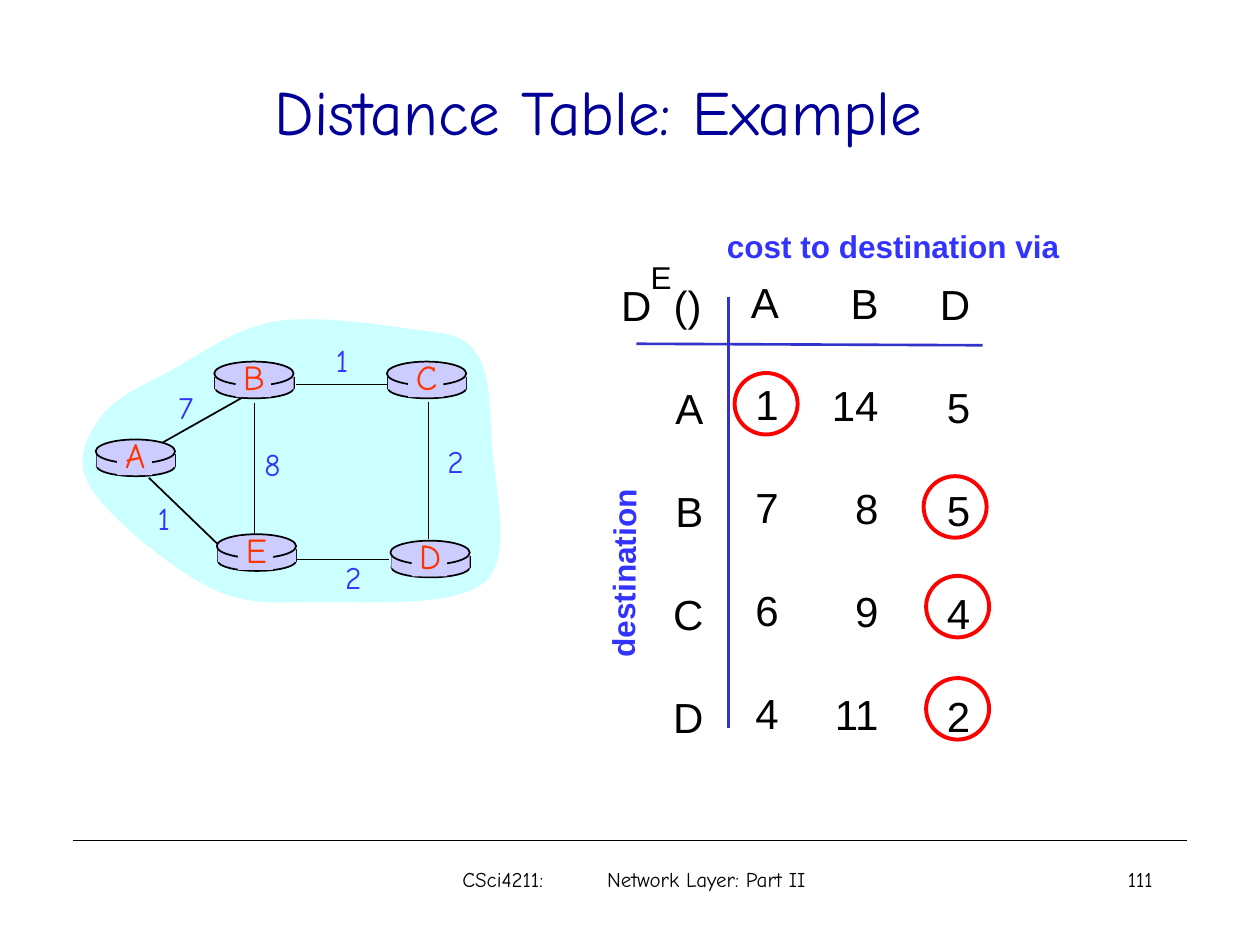
from lxml.etree import SubElement
from pptx import Presentation
from pptx.dml.color import RGBColor
from pptx.enum.shapes import MSO_CONNECTOR, MSO_SHAPE
from pptx.enum.text import MSO_ANCHOR, PP_ALIGN
from pptx.oxml.ns import qn
from pptx.util import Cm, Pt

# All positions and sizes are centimetres.
COMIC = {"name": "Comic Neue"}
TITLE = {**COMIC, "size": Pt(36), "color": "000099"}
FOOTER = {**COMIC, "size": Pt(12), "color": "000000"}
ROUTER_NAME = {**COMIC, "size": Pt(20), "color": "FF3300"}
LINK_COST = {**COMIC, "size": Pt(18), "color": "3333FF"}
CELL = {"name": "Arial", "size": Pt(24), "color": "000000"}
SUPERSCRIPT = {**CELL, "size": Pt(18)}
HEADING = {"name": "Arial", "size": Pt(18), "bold": True, "color": "3333FF"}

CLOUD_START = (2.03, 8.41)
CLOUD_CURVES = [
    ((2.29, 8.03), (2.87, 7.77), (3.45, 7.47)),
    ((4.04, 7.14), (4.72, 6.63), (5.54, 6.48)),
    ((6.35, 6.35), (7.59, 6.53), (8.26, 6.63)),
    ((8.94, 6.73), (9.32, 6.71), (9.58, 7.09)),
    ((9.86, 7.44), (9.88, 8.1), (9.91, 8.86)),
    ((9.93, 9.63), (10.36, 11.18), (9.8, 11.71)),
    ((9.22, 12.27), (7.39, 12.12), (6.45, 12.14)),
    ((5.54, 12.14), (4.98, 12.22), (4.22, 11.84)),
    ((3.45, 11.46), (2.21, 10.44), (1.85, 9.86)),
    ((1.47, 9.3), (1.75, 8.81), CLOUD_START),
]
LINKS = [
    ((3.28, 8.92), (5.0, 7.95)),
    ((8.64, 8.1), (8.64, 10.87)),
    ((5.13, 8.13), (5.13, 10.87)),
    ((5.99, 11.28), (7.85, 11.28)),
    ((3.0, 9.63), (4.39, 10.97)),
    ((5.97, 7.75), (7.82, 7.75)),
]
ROUTERS = {"A": (1.93, 8.86), "B": (4.32, 7.29), "C": (7.8, 7.29),
           "E": (4.37, 10.77), "D": (7.87, 10.9)}
LINK_COSTS = [("7", 3.3, 7.7), ("8", 5.05, 8.84), ("1", 2.86, 9.93),
              ("2", 6.68, 11.13), ("1", 6.45, 6.76), ("2", 8.74, 8.79)]
# left, top, width, entries
COLUMNS = [
    (12.52, 5.51, 1.91, ["D\t()", "A", "B", "C", "D"]),
    (15.13, 5.44, 0.82, ["A", "1", "7", "6", "4"]),
    (16.51, 5.46, 1.45, ["B", "14", "8", "9", "11"]),
    (18.69, 5.49, 1.12, ["D", "5", "5", "4", "2"]),
]
BEST_COSTS = [(14.81, 7.52), (18.62, 9.6), (18.67, 11.61), (18.67, 13.67)]


def rgb(value):
    return RGBColor.from_string(value)


def style(font, look):
    for key, value in look.items():
        if key == "color":
            font.color.rgb = rgb(value)
        else:
            setattr(font, key, value)


def add_text(slide, box, lines, look, align=PP_ALIGN.CENTER, wrap=False, tab=None, gap=0):
    """Add a text box; a tab stop, if given, makes the first line left aligned."""
    text_box = slide.shapes.add_textbox(*map(Cm, box))
    frame = text_box.text_frame
    frame.word_wrap = wrap
    for index, line in enumerate(lines):
        paragraph = frame.paragraphs[0] if index == 0 else frame.add_paragraph()
        paragraph.text = line
        paragraph.alignment = align
        if index:
            paragraph.space_before = Pt(gap)
        elif tab:
            paragraph.alignment = PP_ALIGN.LEFT
            tabs = SubElement(paragraph._p.get_or_add_pPr(), qn("a:tabLst"))
            SubElement(tabs, qn("a:tab"), pos=str(Cm(tab)), algn="l")
        style(paragraph.runs[0].font, look)
    return text_box


def paint(shape, fill=None, line=None, width=1):
    shape.shadow.inherit = False
    if fill:
        shape.fill.solid()
        shape.fill.fore_color.rgb = rgb(fill)
    else:
        shape.fill.background()
    if line:
        shape.line.color.rgb = rgb(line)
        shape.line.width = Pt(width)
    else:
        shape.line.fill.background()


def add_shape(slide, kind, box, **colours):
    paint(slide.shapes.add_shape(kind, *map(Cm, box)), **colours)


def add_line(slide, start, end, color="000000", width=1):
    line = slide.shapes.add_connector(MSO_CONNECTOR.STRAIGHT, *map(Cm, start + end))
    line.line.color.rgb = rgb(color)
    line.line.width = Pt(width)
    SubElement(line._element.spPr, qn("a:effectLst"))


def curve_points(start, curves, steps=12):
    """Yield points along a chain of cubic Bézier curves."""
    for first, second, end in curves:
        for step in range(1, steps + 1):
            t = step / steps
            weights = ((1 - t) ** 3, 3 * t * (1 - t) ** 2, 3 * t * t * (1 - t), t ** 3)
            corners = (start, first, second, end)
            yield tuple(Cm(sum(w * c[axis] for w, c in zip(weights, corners)))
                        for axis in (0, 1))
        start = end


def add_cloud(slide):
    builder = slide.shapes.build_freeform(*map(Cm, CLOUD_START))
    builder.add_line_segments(list(curve_points(CLOUD_START, CLOUD_CURVES)), close=True)
    paint(builder.convert_to_shape(), fill="CCFFFF")


def add_router(slide, name, x, y):
    body, edge = "CCCCFF", "000000"
    add_shape(slide, MSO_SHAPE.OVAL, (x + 0.02, y + 0.33, 1.58, 0.41), fill=body, line=edge)
    for side in (x + 0.02, x + 1.6):
        add_line(slide, (side, y + 0.3), (side, y + 0.56))
    add_shape(slide, MSO_SHAPE.RECTANGLE, (x + 0.02, y + 0.3, 1.58, 0.26), fill=body)
    add_shape(slide, MSO_SHAPE.OVAL, (x, y, 1.6, 0.48), fill=body, line=edge)
    add_shape(slide, MSO_SHAPE.RECTANGLE, (x + 0.43, y + 0.05, 0.71, 0.67), fill=body)
    add_text(slide, (x + 0.3, y - 0.25, 1, 1.09), [name], ROUTER_NAME)


def add_network(slide):
    add_cloud(slide)
    for start, end in LINKS:
        add_line(slide, start, end)
    for name, (x, y) in ROUTERS.items():
        add_router(slide, name, x, y)
    for cost, x, y in LINK_COSTS:
        add_text(slide, (x, y, 0.89, 1.02), [cost], LINK_COST)


def add_distances(slide):
    for left, top, width, entries in COLUMNS:
        column = add_text(slide, (left, top, width, 9.37), entries, CELL, PP_ALIGN.RIGHT,
                          wrap=True, tab=1.06 if "\t" in entries[0] else None, gap=30)
        column.text_frame.margin_left = 0
    add_line(slide, (12.83, 6.93), (19.81, 6.96), "3333CC", 1.5)
    add_line(slide, (14.68, 5.99), (14.68, 14.68), "3333CC", 1.5)
    for x, y in BEST_COSTS:
        add_shape(slide, MSO_SHAPE.OVAL, (x, y, 1.27, 1.24), line="FF0000", width=2.25)
    add_text(slide, (12.85, 5.08, 0.94, 1.02), ["E"], SUPERSCRIPT, PP_ALIGN.RIGHT)
    add_text(slide, (14.4, 4.45, 7.21, 1.02), ["cost to destination via"], HEADING,
             PP_ALIGN.RIGHT)
    row_heading = add_text(slide, (10.62, 11.05, 3.89, 1.02), ["destination"], HEADING,
                           PP_ALIGN.RIGHT)
    row_heading.rotation = 270.6


def add_footer(slide):
    add_line(slide, (1.47, 16.94), (23.93, 16.94), width=0.75)
    course = add_text(slide, (8.89, 17.35, 7.62, 1.27),
                      ["CSci4211:\tNetwork Layer: Part II"], FOOTER, wrap=True, tab=2.92)
    course.text_frame.margin_left = Cm(0.43)
    add_text(slide, (21.79, 17.35, 1.7, 1.27), ["111"], FOOTER, PP_ALIGN.RIGHT, wrap=True)


def main():
    deck = Presentation()
    deck.slide_width, deck.slide_height = Cm(25.4), Cm(19.05)
    slide = deck.slides.add_slide(deck.slide_layouts[6])
    add_footer(slide)
    title = add_text(slide, (1.27, 0.64, 21.59, 3.17), ["Distance Table: Example"], TITLE,
                     wrap=True)
    title.text_frame.vertical_anchor = MSO_ANCHOR.MIDDLE
    add_network(slide)
    add_distances(slide)
    deck.save("out.pptx")


if __name__ == "__main__":
    main()
